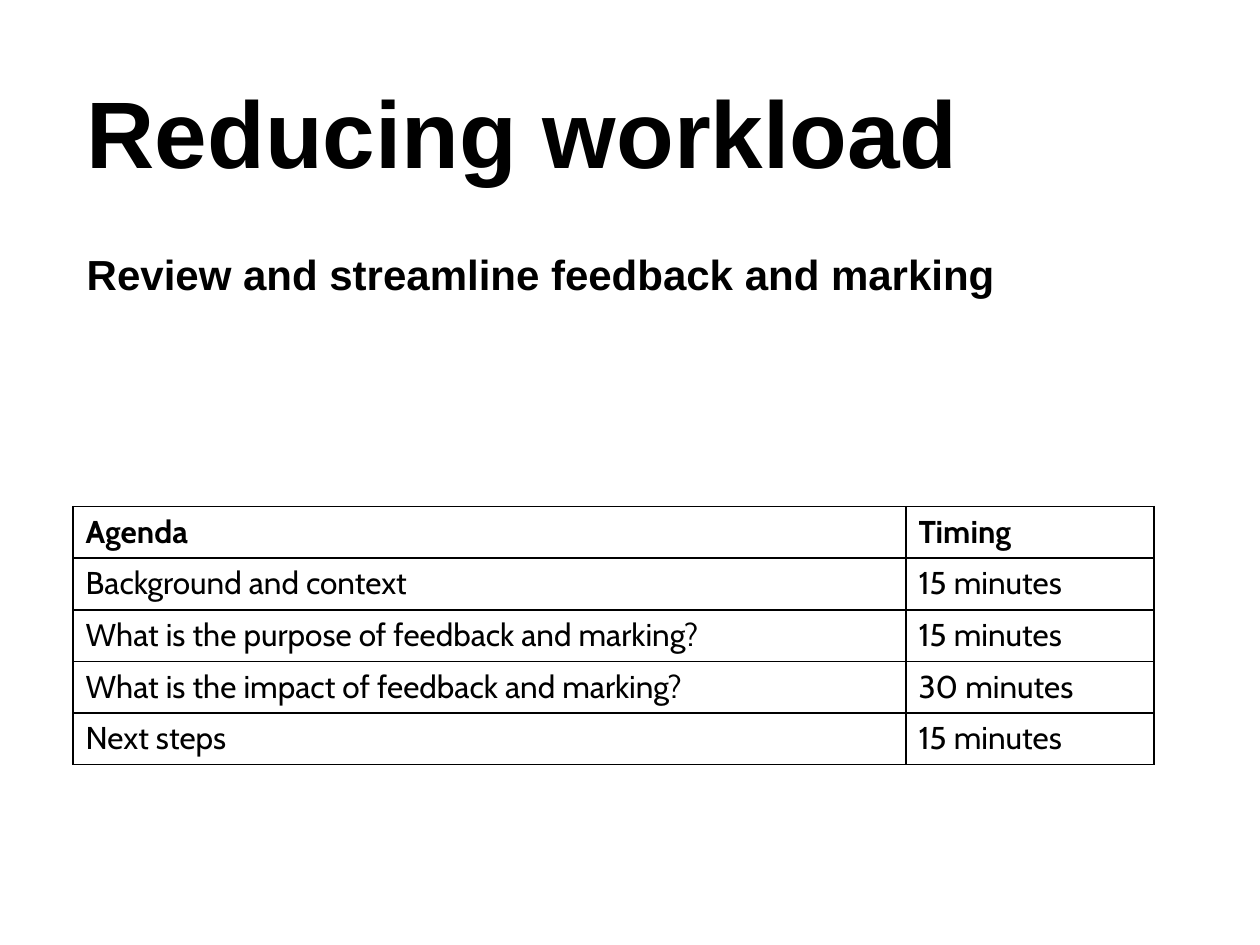
from dataclasses import dataclass

from lxml.etree import SubElement
from pptx import Presentation
from pptx.dml.color import RGBColor
from pptx.enum.text import MSO_ANCHOR
from pptx.oxml.ns import qn
from pptx.util import Inches, Pt

BLACK = "000000"
WHITE = "FFFFFF"


@dataclass
class Heading:
    text: str
    top: float
    height: float
    size: int
    anchor: MSO_ANCHOR


@dataclass
class AgendaRow:
    topic: str
    timing: str
    bold: bool = False


HEADINGS = [
    Heading("Reducing workload", 0.13, 1.81, 54, MSO_ANCHOR.MIDDLE),
    Heading("Review and streamline feedback and marking", 1.92, 0.5, 24, MSO_ANCHOR.TOP),
]
AGENDA = [
    AgendaRow("Agenda", "Timing", bold=True),
    AgendaRow("Background and context", "15 minutes"),
    AgendaRow("What is the purpose of feedback and marking?", "15 minutes"),
    AgendaRow("What is the impact of feedback and marking?", "30 minutes"),
    AgendaRow("Next steps", "15 minutes"),
]
COLUMN_WIDTHS = [6.61, 1.97]
ROW_HEIGHT = 0.41


def set_color(color_format, value: str) -> None:
    color_format.rgb = RGBColor.from_string(value)


def write_text(frame, text: str, font_name: str, size: int, bold: bool) -> None:
    para = frame.paragraphs[0]
    para.text = text
    para.font.name = font_name
    para.font.size = Pt(size)
    para.font.bold = bold
    set_color(para.font.color, BLACK)


def add_heading(page, heading: Heading) -> None:
    box = page.shapes.add_textbox(
        Inches(0.59), Inches(heading.top), Inches(8.9), Inches(heading.height)
    )
    frame = box.text_frame
    frame.word_wrap = True
    frame.vertical_anchor = heading.anchor
    write_text(frame, heading.text, "Arial", heading.size, True)


def add_borders(cell) -> None:
    properties = cell._tc.get_or_add_tcPr()
    for position, side in enumerate(("lnL", "lnR", "lnT", "lnB")):
        line = SubElement(properties, qn(f"a:{side}"), w=str(Pt(1)))
        fill = SubElement(line, qn("a:solidFill"))
        SubElement(fill, qn("a:srgbClr"), val=BLACK)
        properties.insert(position, line)


def add_agenda(page, rows: list[AgendaRow]) -> None:
    table = page.shapes.add_table(
        len(rows),
        len(COLUMN_WIDTHS),
        Inches(0.58),
        Inches(4.02),
        Inches(sum(COLUMN_WIDTHS)),
        Inches(ROW_HEIGHT * len(rows)),
    ).table
    for column, width in zip(table.columns, COLUMN_WIDTHS):
        column.width = Inches(width)
    for table_row, row in zip(table.rows, rows):
        table_row.height = Inches(ROW_HEIGHT)
        for cell, text in zip(table_row.cells, (row.topic, row.timing)):
            write_text(cell.text_frame, text, "Cabin", 18, row.bold)
            cell.fill.solid()
            set_color(cell.fill.fore_color, WHITE)
            add_borders(cell)


def main() -> None:
    deck = Presentation()
    deck.slide_width = Inches(10)
    deck.slide_height = Inches(7.5)
    page = deck.slides.add_slide(deck.slide_layouts[6])
    for heading in HEADINGS:
        add_heading(page, heading)
    add_agenda(page, AGENDA)
    deck.save("out.pptx")


if __name__ == "__main__":
    main()
